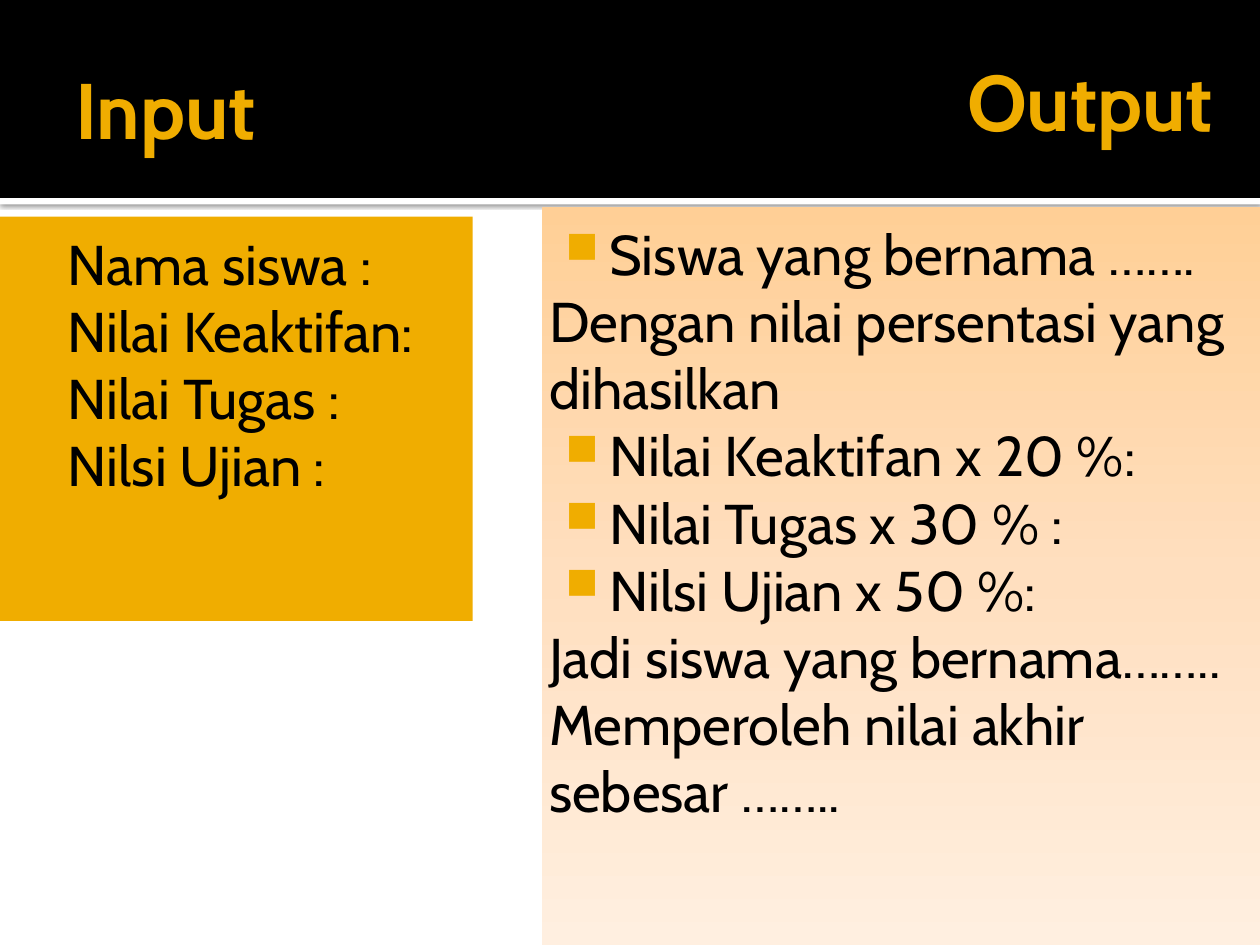
from copy import deepcopy
from lxml.etree import SubElement
from pptx import Presentation
from pptx.dml.color import RGBColor
from pptx.enum.shapes import MSO_SHAPE
from pptx.enum.text import MSO_ANCHOR, PP_ALIGN
from pptx.oxml.ns import qn
from pptx.util import Cm, Pt

PLAIN, INDENTED, BULLETED = "plain", "indented", "bulleted"

HEADINGS = [
    ("Input", (1.27, 0.43, 5.87, 3.48)),
    ("Output", (19.25, 0.28, 5.87, 3.48)),
]
INPUT_LINES = [
    (INDENTED, "Nama siswa :"),
    (INDENTED, "Nilai Keaktifan:"),
    (INDENTED, "Nilai Tugas :"),
    (INDENTED, "Nilsi Ujian :"),
]
OUTPUT_LINES = [
    (BULLETED, "Siswa yang bernama ……."),
    (PLAIN, "Dengan nilai persentasi yang dihasilkan"),
    (BULLETED, "Nilai Keaktifan x 20 %:"),
    (BULLETED, "Nilai Tugas x 30 % :"),
    (BULLETED, "Nilsi Ujian x 50 %:"),
    (PLAIN, "Jadi siswa yang bernama…….. Memperoleh nilai akhir sebesar …….."),
]

THEME = {
    "font": "Cabin",
    "heading_size": 45,
    "body_size": 32,
    "accent": "F0AD00",
    "dark": "000000",
    "light": "FFFFFF",
    "output_gradient": [(0, "FFCF96"), (0.5, "FFDFBF"), (1, "FFEFE0")],
}
SLIDE_W, SLIDE_H = 25.4, 19.05
HEADER_H, RULE_H = 3.99, 0.13
INPUT_BOX = (0, 4.37, 9.53, 8.15)
OUTPUT_LEFT, OUTPUT_TOP = 10.92, 4.17
OUTPUT_BOX = (OUTPUT_LEFT, OUTPUT_TOP, SLIDE_W - OUTPUT_LEFT, SLIDE_H - OUTPUT_TOP)
HEADING_INSETS = (0.25, 0.13, 0.13, 0.13)
BODY_INSETS = (0.15, 0.25, 0.25, 0.13)
TEXT_INDENT, BULLET_HANG = 1.22, 0.89


def lengths(values):
    return [Cm(value) for value in values]


def add_panel(slide, box, color=None):
    panel = slide.shapes.add_shape(MSO_SHAPE.RECTANGLE, *lengths(box))
    panel.shadow.inherit = False
    panel.line.fill.background()
    if color:
        panel.fill.solid()
        panel.fill.fore_color.rgb = RGBColor.from_string(color)
    return panel


def prepare_frame(frame, insets, anchor):
    frame.word_wrap = True
    frame.vertical_anchor = anchor
    (frame.margin_left, frame.margin_top,
     frame.margin_right, frame.margin_bottom) = lengths(insets)


def add_run(paragraph, text, size, color, bold=False):
    run = paragraph.add_run()
    run.text = text
    run.font.name = THEME["font"]
    run.font.size = Pt(size)
    run.font.bold = bold
    run.font.color.rgb = RGBColor.from_string(color)


def set_indent(paragraph, style):
    properties = paragraph._p.get_or_add_pPr()
    if style == PLAIN:
        return
    properties.set("marL", str(Cm(TEXT_INDENT)))
    if style == BULLETED:
        properties.set("indent", str(-Cm(BULLET_HANG)))
        bullet_color = SubElement(properties, qn("a:buClr"))
        SubElement(bullet_color, qn("a:srgbClr"), val=THEME["accent"])
        SubElement(properties, qn("a:buSzPct"), val="80000")
        SubElement(properties, qn("a:buChar"), char="■")


def add_lines(panel, lines):
    frame = panel.text_frame
    prepare_frame(frame, BODY_INSETS, MSO_ANCHOR.TOP)
    for index, (style, text) in enumerate(lines):
        paragraph = frame.add_paragraph() if index else frame.paragraphs[0]
        paragraph.alignment = PP_ALIGN.LEFT
        set_indent(paragraph, style)
        add_run(paragraph, text, THEME["body_size"], THEME["dark"])


def add_heading(slide, text, box):
    frame = slide.shapes.add_textbox(*lengths(box)).text_frame
    prepare_frame(frame, HEADING_INSETS, MSO_ANCHOR.MIDDLE)
    add_run(frame.paragraphs[0], text, THEME["heading_size"], THEME["accent"], True)


def add_rule_shadow(rule):
    effects = rule._element.spPr.find(qn("a:effectLst"))
    shadow = SubElement(effects, qn("a:outerShdw"), blurRad=str(Pt(2.5)),
                        dist=str(Pt(0.8)), dir="5400000", rotWithShape="0")
    color = SubElement(shadow, qn("a:srgbClr"), val=THEME["dark"])
    SubElement(color, qn("a:alpha"), val="60000")


def fill_gradient(panel, stops):
    panel.fill.gradient()
    panel.fill.gradient_angle = 270
    stop_list = panel._element.spPr.find(qn("a:gradFill")).find(qn("a:gsLst"))
    stop_list.insert(1, deepcopy(stop_list[0]))
    for stop, (position, color) in zip(panel.fill.gradient_stops, stops):
        stop.position = position
        stop.color.rgb = RGBColor.from_string(color)


def main():
    deck = Presentation()
    deck.slide_width, deck.slide_height = Cm(SLIDE_W), Cm(SLIDE_H)
    slide = deck.slides.add_slide(deck.slide_layouts[6])

    rule = add_panel(slide, (0, HEADER_H, SLIDE_W, RULE_H), THEME["light"])
    add_rule_shadow(rule)
    add_panel(slide, (0, 0, SLIDE_W, HEADER_H), THEME["dark"])
    for text, box in HEADINGS:
        add_heading(slide, text, box)

    add_lines(add_panel(slide, INPUT_BOX, THEME["accent"]), INPUT_LINES)
    output_panel = add_panel(slide, OUTPUT_BOX)
    fill_gradient(output_panel, THEME["output_gradient"])
    add_lines(output_panel, OUTPUT_LINES)

    deck.save("out.pptx")


if __name__ == "__main__":
    main()
